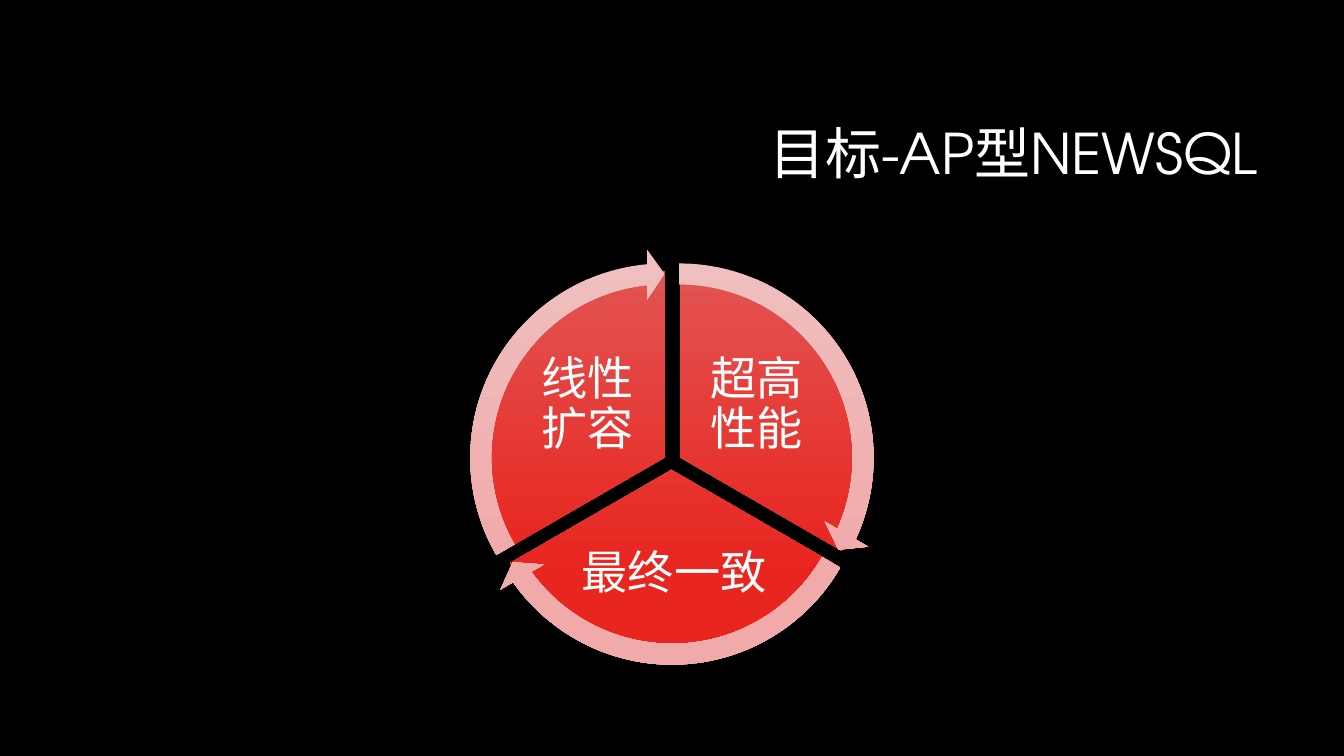
from pptx import Presentation
from pptx.dml.color import RGBColor
from pptx.enum.shapes import MSO_SHAPE
from pptx.enum.text import MSO_ANCHOR, PP_ALIGN
from pptx.util import Emu, Pt

PIE, ARROW = MSO_SHAPE.PIE, MSO_SHAPE.CIRCULAR_ARROW
MIDDLE = MSO_ANCHOR.MIDDLE
CENTER, RIGHT = PP_ALIGN.CENTER, PP_ALIGN.RIGHT

FONT = "TeX Gyre Adventor"
COLORS = {
    "background": "000000",
    "text": "FFFFFF",
    "sector_top": "E25452",
    "sector_bottom": "E8251F",
    "arrow_top": "F0BFBF",
    "arrow_bottom": "F0AAAA",
}
PIE_SIZE, ARROW_SIZE = 355, 398
DEGREE = 0.6  # one degree in adjustment units

# Label, offset from the hub, start and end of the sector in degrees,
# end and start of the arrow in degrees, label box relative to the hub
SECTORS = [
    ("超高性能", (7, -4), (270, 30), (24.54, 269.99), (17, -107, 127, 106)),
    ("最终一致", (0, 8), (30, 150), (144.53, 30.01), (-93, 61, 190, 93)),
    ("线性扩容", (-7, -4), (150, 270), (264.55, 150), (-144, -107, 127, 106)),
]


def px(length):
    return Emu(length * 9525)


def color(name):
    return RGBColor.from_string(COLORS[name])


def add_text(page, box, text, size, align, inset):
    area = page.shapes.add_textbox(*map(px, box))
    frame = area.text_frame
    frame.word_wrap = True
    frame.vertical_anchor = MIDDLE
    frame.margin_left = frame.margin_right = px(inset)
    frame.margin_top = frame.margin_bottom = px(5)
    para = frame.paragraphs[0]
    para.text = text
    para.alignment = align
    para.line_spacing = 0.9
    font = para.runs[0].font
    font.name, font.size = FONT, Pt(size)
    font.color.rgb = color("text")


def add_round(page, kind, center, size, adjustments, shade):
    left, top = (round(middle - size / 2) for middle in center)
    shape = page.shapes.add_shape(kind, px(left), px(top), px(size), px(size))
    shape.shadow.inherit = False
    shape.line.fill.background()
    for index, value in enumerate(adjustments):
        shape.adjustments[index] = value
    shape.fill.gradient()
    shape.fill.gradient_angle = 270
    ends = ((0, "top"), (0.78, "bottom"))
    for stop, (position, end) in zip(shape.fill.gradient_stops, ends):
        stop.position = position
        stop.color.rgb = color(f"{shade}_{end}")


def add_title(page, box):
    add_text(page, box, "目标-AP型NEWSQL", 40, RIGHT, 10)


def add_cycle(page, box):
    left, top, width, height = box
    hub_x, hub_y = left + width // 2, top + height // 2

    # Sectors with their labels
    for label, (dx, dy), angles, _, (x, y, w, h) in SECTORS:
        add_round(page, PIE, (hub_x + dx, hub_y + dy), PIE_SIZE,
                  [angle * DEGREE for angle in angles], "sector")
        add_text(page, (hub_x + x, hub_y + y, w, h), label, 33, CENTER, 5)

    # Arrows around the rim: thickness, head angle, end, start, head width
    for _, (dx, dy), _, (end, start), _ in SECTORS:
        add_round(page, ARROW, (hub_x + dx, hub_y + dy), ARROW_SIZE,
                  [0.05, 5.46 * DEGREE, end * DEGREE, start * DEGREE, 0.06],
                  "arrow")


def main():
    deck = Presentation()
    deck.slide_width, deck.slide_height = px(1280), px(720)
    page = deck.slides.add_slide(deck.slide_layouts[6])
    page.background.fill.solid()
    page.background.fill.fore_color.rgb = color("background")
    add_title(page, (304, 81, 904, 135))
    add_cycle(page, (433, 234, 414, 412))
    deck.save("out.pptx")


if __name__ == "__main__":
    main()
